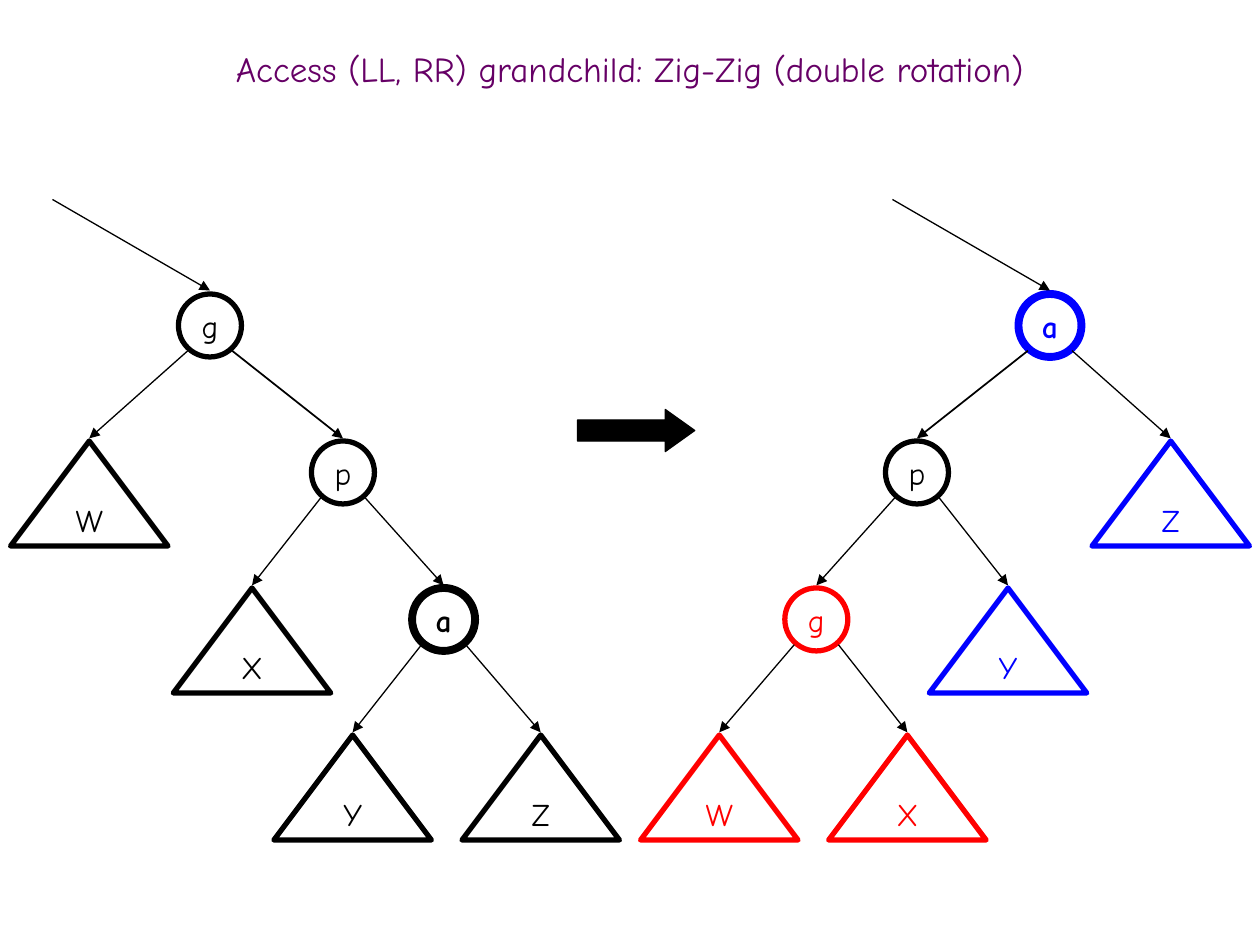
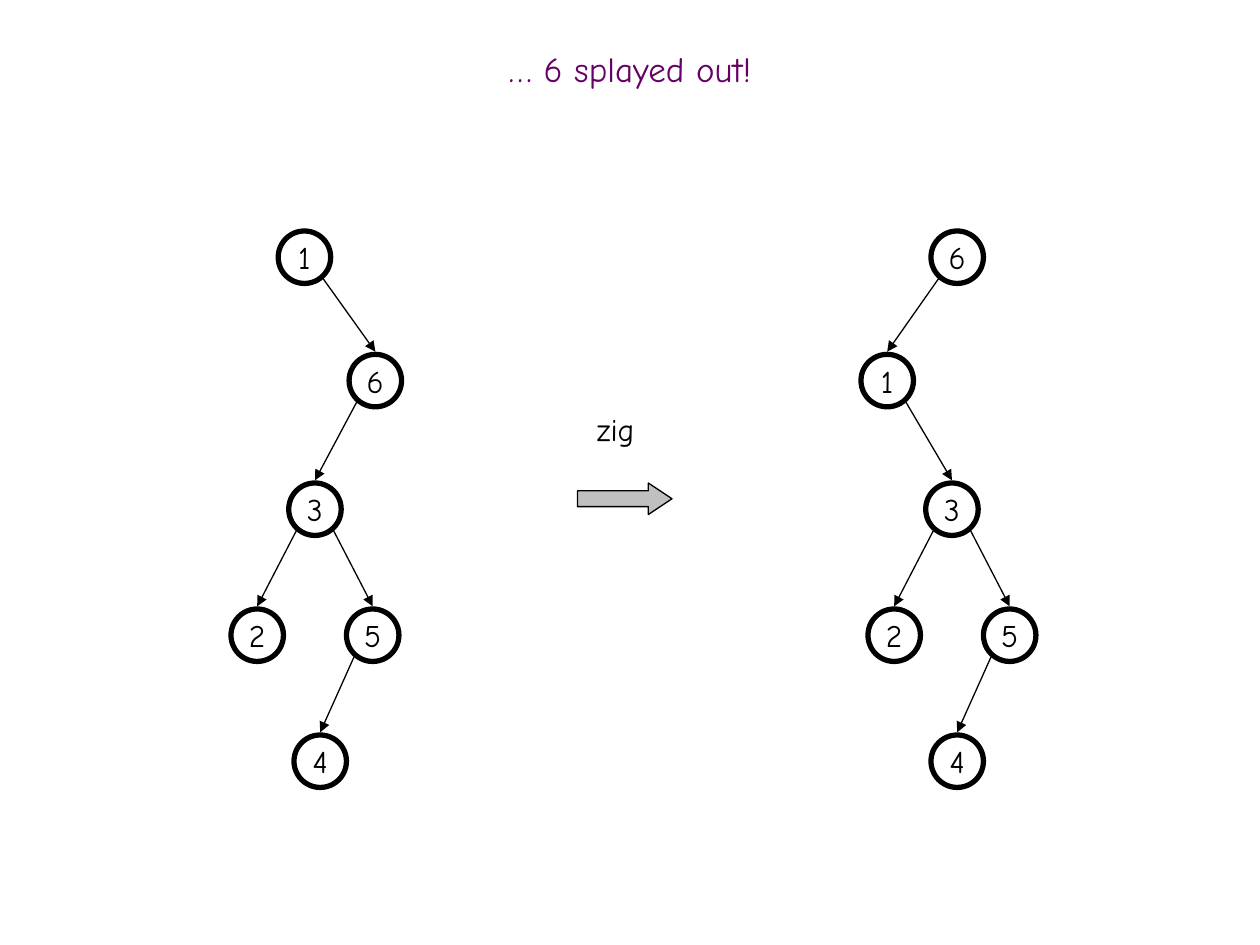
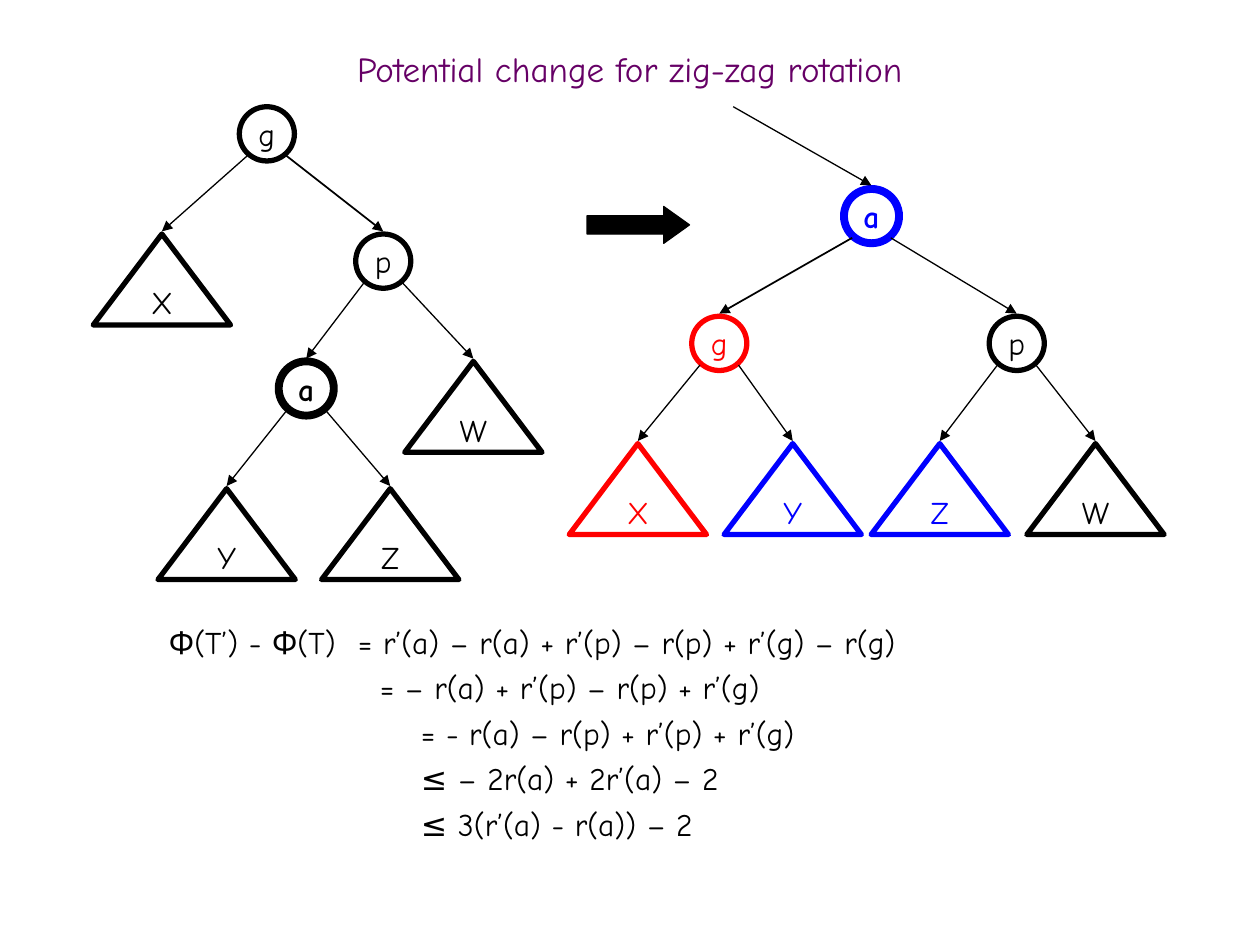
from dataclasses import dataclass

from lxml.etree import SubElement
from pptx import Presentation
from pptx.dml.color import RGBColor
from pptx.enum.shapes import MSO_CONNECTOR, MSO_SHAPE
from pptx.enum.text import MSO_ANCHOR, MSO_AUTO_SIZE, PP_ALIGN
from pptx.oxml.ns import qn
from pptx.util import Pt

BLACK = RGBColor(0x00, 0x00, 0x00)
BLUE = RGBColor(0x00, 0x00, 0xFF)
RED = RGBColor(0xFF, 0x00, 0x00)
PURPLE = RGBColor(0x66, 0x00, 0x66)
SILVER = RGBColor(0xC0, 0xC0, 0xC0)
FONT = "Comic Neue"
WIDTH, HEIGHT = 720, 540
THIN, MEDIUM = 0.75, 1
ACCESSED = "a"


@dataclass
class Node:
    label: str
    x: float
    children: tuple = ()
    colour: RGBColor = BLACK
    link: float = THIN


@dataclass
class TreeStyle:
    circle: tuple
    triangle: tuple
    tops: list


def add_span(para, text, size=18, colour=BLACK, bold=False):
    span = para.add_run()
    span.text = text
    span.font.name = FONT
    span.font.size = Pt(size)
    span.font.bold = bold
    span.font.color.rgb = colour


def add_box(page, left, top, width, height):
    return page.shapes.add_textbox(Pt(left), Pt(top), Pt(width), Pt(height))


def add_title(page, text):
    frame = add_box(page, 0, 24, WIDTH, 36).text_frame
    frame.word_wrap = True
    frame.vertical_anchor = MSO_ANCHOR.MIDDLE
    para = frame.paragraphs[0]
    para.alignment = PP_ALIGN.CENTER
    para.line_spacing = 0.7
    add_span(para, text, 20, PURPLE)


def add_page(deck, title):
    page = deck.slides.add_slide(deck.slide_layouts[6])
    add_title(page, title)
    return page


def add_outline(page, kind, left, top, width, height, colour, weight):
    shape = page.shapes.add_shape(kind, Pt(left), Pt(top), Pt(width), Pt(height))
    shape.shadow.inherit = False
    shape.fill.background()
    shape.line.color.rgb = colour
    shape.line.width = Pt(weight)
    return shape


def add_link(page, start, end, weight=THIN):
    line = page.shapes.add_connector(
        MSO_CONNECTOR.STRAIGHT, *(Pt(value) for value in (*start, *end))
    )
    line.line.color.rgb = BLACK
    line.line.width = Pt(weight)
    properties = line._element.spPr
    SubElement(properties.find(qn("a:ln")), qn("a:tailEnd"), type="triangle")
    SubElement(properties, qn("a:effectLst"))


def add_step_arrow(page, left, top, width, height, fill, head):
    arrow = add_outline(
        page, MSO_SHAPE.RIGHT_ARROW, left, top, width, height, BLACK, THIN
    )
    arrow.fill.solid()
    arrow.fill.fore_color.rgb = fill
    arrow.adjustments[0] = 0.5
    arrow.adjustments[1] = head


def add_node(page, node, style, top):
    is_subtree = node.label.isupper()
    kind = MSO_SHAPE.ISOSCELES_TRIANGLE if is_subtree else MSO_SHAPE.OVAL
    width, height = style.triangle if is_subtree else style.circle
    is_accessed = node.label == ACCESSED
    shape = add_outline(
        page, kind, node.x - width / 2, top, width, height,
        node.colour, 4.5 if is_accessed else 3,
    )
    frame = shape.text_frame
    frame.word_wrap = False
    frame.vertical_anchor = MSO_ANCHOR.MIDDLE
    para = frame.paragraphs[0]
    para.alignment = PP_ALIGN.CENTER
    add_span(para, node.label, colour=node.colour, bold=is_accessed)


def add_tree(page, node, style, depth=0):
    top = style.tops[depth]
    width, height = style.circle
    add_node(page, node, style, top)
    for child in node.children:
        side = 1 if child.x > node.x else -1
        start = (node.x + side * 0.35 * width, top + 0.9 * height)
        end = (child.x, style.tops[depth + 1] - 1.5)
        add_link(page, start, end, child.link)
        add_tree(page, child, style, depth + 1)


def add_entry(page, root, style, run, rise):
    top = style.tops[0] - 2
    add_link(page, (root.x - run, top - rise), (root.x, top))


def add_derivation(page, lines):
    frame = add_box(page, 53.5, 348, 625.5, 114).text_frame
    frame.word_wrap = True
    for index, (indent, text) in enumerate(lines):
        para = frame.paragraphs[0] if index == 0 else frame.add_paragraph()
        para.line_spacing = Pt(26)
        properties = para._p.get_or_add_pPr()
        properties.set("marL", "0")
        properties.set("indent", str(Pt(indent)))
        if "\t" in text:
            stops = SubElement(properties, qn("a:tabLst"))
            SubElement(stops, qn("a:tab"), pos=str(Pt(144)), algn="l")
        add_span(para, text)


def build_zig_zig(deck):
    page = add_page(deck, "Access (LL, RR) grandchild: Zig-Zig (double rotation)")
    style = TreeStyle((36, 36), (90, 60), [168 + 84 * row for row in range(4)])
    before = Node("g", 120, (
        Node("W", 51),
        Node("p", 196, (
            Node("X", 144),
            Node("a", 253.5, (Node("Y", 201.5), Node("Z", 309))),
        ), link=MEDIUM),
    ))
    after = Node("a", 600, (
        Node("p", 524, (
            Node("g", 466.5, (Node("W", 411, (), RED), Node("X", 518.5, (), RED)), RED),
            Node("Y", 576, (), BLUE),
        ), link=MEDIUM),
        Node("Z", 669, (), BLUE),
    ), BLUE)
    for root in (before, after):
        add_tree(page, root, style)
        add_entry(page, root, style, 90, 52)
    add_step_arrow(page, 330, 234, 67, 24, BLACK, 0.7)


def lower_subtree(x):
    return Node("3", x, (
        Node("2", x - 33),
        Node("5", x + 33, (Node("4", x + 3),)),
    ))


def build_splayed_out(deck):
    page = add_page(deck, "… 6 splayed out!")
    style = TreeStyle((30, 30), (), [132, 202.5, 276, 348, 420])
    add_tree(page, Node("1", 174, (Node("6", 214.5, (lower_subtree(180),)),)), style)
    add_tree(page, Node("6", 547, (Node("1", 507, (lower_subtree(544),)),)), style)
    add_step_arrow(page, 330, 276, 54, 18, SILVER, 0.75)
    frame = add_box(page, 334, 231, 39, 29).text_frame
    frame.word_wrap = False
    frame.auto_size = MSO_AUTO_SIZE.SHAPE_TO_FIT_TEXT
    add_span(frame.paragraphs[0], "zig")


def build_potential_change(deck):
    page = add_page(deck, "Potential change for zig-zag rotation")
    circle, triangle, step = (31.5, 31), (78.5, 52), 72.75
    style_before = TreeStyle(circle, triangle, [61 + step * row for row in range(4)])
    style_after = TreeStyle(circle, triangle, [108 + step * row for row in range(3)])
    before = Node("g", 152.5, (
        Node("X", 92.5),
        Node("p", 219, (
            Node("a", 175, (Node("Y", 129.5), Node("Z", 223))),
            Node("W", 270.5),
        ), link=MEDIUM),
    ))
    after = Node("a", 498, (
        Node("g", 411, (
            Node("X", 364.5, (), RED), Node("Y", 453, (), BLUE),
        ), RED, MEDIUM),
        Node("p", 581, (Node("Z", 537, (), BLUE), Node("W", 626))),
    ), BLUE)
    add_tree(page, before, style_before)
    add_tree(page, after, style_after)
    add_entry(page, after, style_after, 79, 45)
    add_step_arrow(page, 335.5, 118, 58.5, 21, BLACK, 0.7)
    add_derivation(page, [
        (36, "Φ(T’) - Φ(T)\t= r’(a) – r(a) + r’(p) – r(p) + r’(g) – r(g)"),
        (156.5, "= – r(a) + r’(p) – r(p) + r’(g)"),
        (180, "= - r(a) – r(p) + r’(p) + r’(g)"),
        (180, "≤ – 2r(a) + 2r’(a) – 2"),
        (180, "≤ 3(r’(a) - r(a)) – 2"),
    ])


def main():
    deck = Presentation()
    deck.slide_width, deck.slide_height = Pt(WIDTH), Pt(HEIGHT)
    build_zig_zig(deck)
    build_splayed_out(deck)
    build_potential_change(deck)
    deck.save("out.pptx")


if __name__ == "__main__":
    main()
